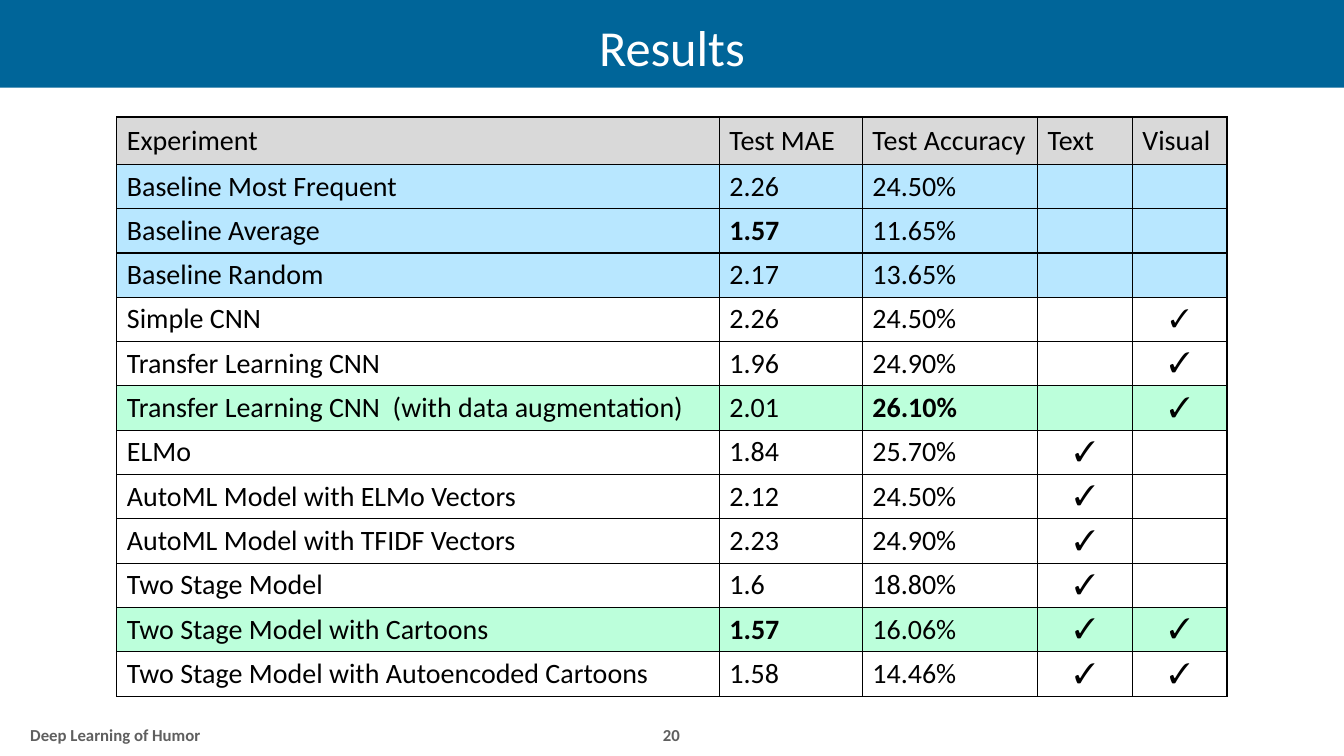
from lxml.etree import SubElement
from pptx import Presentation
from pptx.dml.color import RGBColor
from pptx.enum.shapes import MSO_SHAPE as Preset
from pptx.enum.text import MSO_ANCHOR as Anchor, PP_ALIGN as Align
from pptx.oxml.ns import qn
from pptx.util import Inches, Pt

WIDTH, HEIGHT = 13.34, 7.5
COLORS = {"band": "006599", "white": "FFFFFF", "black": "000000", "footer": "5F5F5F",
          "header": "D9D9D9", "baseline": "B8E7FF", "best": "BCFFDB"}
TITLE = {"name": "Calibri", "size": Pt(36), "bold": False}
FOOTER = {"name": "Calibri", "size": Pt(12), "bold": True}
BODY = {"name": "Calibri", "size": Pt(20), "bold": False}
TICK = {"name": "Cambria", "size": Pt(20), "bold": False}
SMALL_TICK = TICK | {"size": Pt(18)}

COLUMN_WIDTHS = [5.98, 1.42, 1.74, 0.94, 0.94]
HEADER_HEIGHT, ROW_HEIGHT = 0.47, 0.44
HEADER = ["Experiment", "Test MAE", "Test Accuracy", "Text", "Visual"]
RESULTS = [
    ["Baseline Most Frequent", "2.26", "24.50%", "", ""],
    ["Baseline Average", "1.57", "11.65%", "", ""],
    ["Baseline Random", "2.17", "13.65%", "", ""],
    ["Simple CNN", "2.26", "24.50%", "", "✓"],
    ["Transfer Learning CNN", "1.96", "24.90%", "", "✓"],
    ["Transfer Learning CNN  (with data augmentation)", "2.01", "26.10%", "", "✓"],
    ["ELMo", "1.84", "25.70%", "✓", ""],
    ["AutoML Model with ELMo Vectors", "2.12", "24.50%", "✓", ""],
    ["AutoML Model with TFIDF Vectors", "2.23", "24.90%", "✓", ""],
    ["Two Stage Model", "1.6", "18.80%", "✓", ""],
    ["Two Stage Model with Cartoons", "1.57", "16.06%", "✓", "✓"],
    ["Two Stage Model with Autoencoded Cartoons", "1.58", "14.46%", "✓", "✓"],
]
ROW_FILLS = {0: "header", 1: "baseline", 2: "baseline", 3: "baseline", 6: "best", 11: "best"}
BEST_SCORES = {"1.57", "26.10%"}


def color(name):
    """Return the named colour."""
    return RGBColor.from_string(COLORS[name])


def write(frame, text, style, ink, align):
    """Write one formatted paragraph into a text frame."""
    para = frame.paragraphs[0]
    para.alignment = align
    if text:
        para.add_run().text = text
    for font in [para.font] + [span.font for span in para.runs]:
        for key, value in style.items():
            setattr(font, key, value)
        font.color.rgb = color(ink)


def add_label(page, box, text, style, ink, align):
    """Place a vertically centred text box."""
    frame = page.shapes.add_textbox(*map(Inches, box)).text_frame
    layout = {"word_wrap": True, "vertical_anchor": Anchor.MIDDLE,
              "margin_left": Inches(0.13), "margin_right": Inches(0.13),
              "margin_top": Inches(0.07), "margin_bottom": Inches(0.07)}
    for key, value in layout.items():
        setattr(frame, key, value)
    write(frame, text, style, ink, align)


def add_title_band(page, box, text):
    """Draw the coloured band with its centred title."""
    left, top, width, height = box
    band = page.shapes.add_shape(Preset.RECTANGLE, *map(Inches, box))
    band.shadow.inherit = False
    band.fill.solid()
    band.fill.fore_color.rgb = color("band")
    band.line.fill.background()
    add_label(page, (left, top + 0.05, width, height - 0.04), text, TITLE, "white", Align.CENTER)


def add_footer(page, box, text, number):
    """Place the footer text at the left and the page number at the centre."""
    left, top, width, height = box
    add_label(page, (left + 0.17, top, 5.41, height), text, FOOTER, "footer", Align.LEFT)
    add_label(page, (left + width / 2 - 0.79, top, 1.57, height), number, FOOTER, "footer",
              Align.CENTER)


def add_borders(cell):
    """Give a cell thin black borders on all sides."""
    properties = cell._tc.get_or_add_tcPr()
    for side in ("lnL", "lnR", "lnT", "lnB"):
        line = SubElement(properties, qn(f"a:{side}"), w=str(Pt(1)))
        fill = SubElement(line, qn("a:solidFill"))
        SubElement(fill, qn("a:srgbClr"), val=COLORS["black"])


def cell_style(experiment, text):
    """Choose the text format of a result cell."""
    if text == "✓":
        return SMALL_TICK if experiment == "Simple CNN" else TICK
    return BODY | {"bold": text in BEST_SCORES}


def add_results(page, box):
    """Build the results table in the given box."""
    rows = [HEADER] + RESULTS
    table = page.shapes.add_table(len(rows), len(HEADER), *map(Inches, box)).table
    table.first_row = table.horz_banding = False
    for column, width in zip(table.columns, COLUMN_WIDTHS):
        column.width = Inches(width)
    for index, values in enumerate(rows):
        table.rows[index].height = Inches(ROW_HEIGHT if index else HEADER_HEIGHT)
        for position, text in enumerate(values):
            cell = table.cell(index, position)
            cell.vertical_anchor = Anchor.MIDDLE
            add_borders(cell)
            cell.fill.solid()
            cell.fill.fore_color.rgb = color(ROW_FILLS.get(index, "white"))
            align = Align.CENTER if text == "✓" else Align.LEFT
            write(cell.text_frame, text, cell_style(values[0], text), "black", align)


def main():
    """Build and save the deck."""
    deck = Presentation()
    deck.slide_width, deck.slide_height = Inches(WIDTH), Inches(HEIGHT)
    page = deck.slides.add_slide(deck.slide_layouts[6])
    add_title_band(page, (0, 0, WIDTH, 0.87), "Results")
    table_width = sum(COLUMN_WIDTHS)
    table_height = HEADER_HEIGHT + ROW_HEIGHT * len(RESULTS)
    add_results(page, ((WIDTH - table_width) / 2, 1.16, table_width, table_height))
    add_footer(page, (0, 7.12, WIDTH, 0.34), "Deep Learning of Humor", "20")
    deck.save("out.pptx")


if __name__ == "__main__":
    main()
